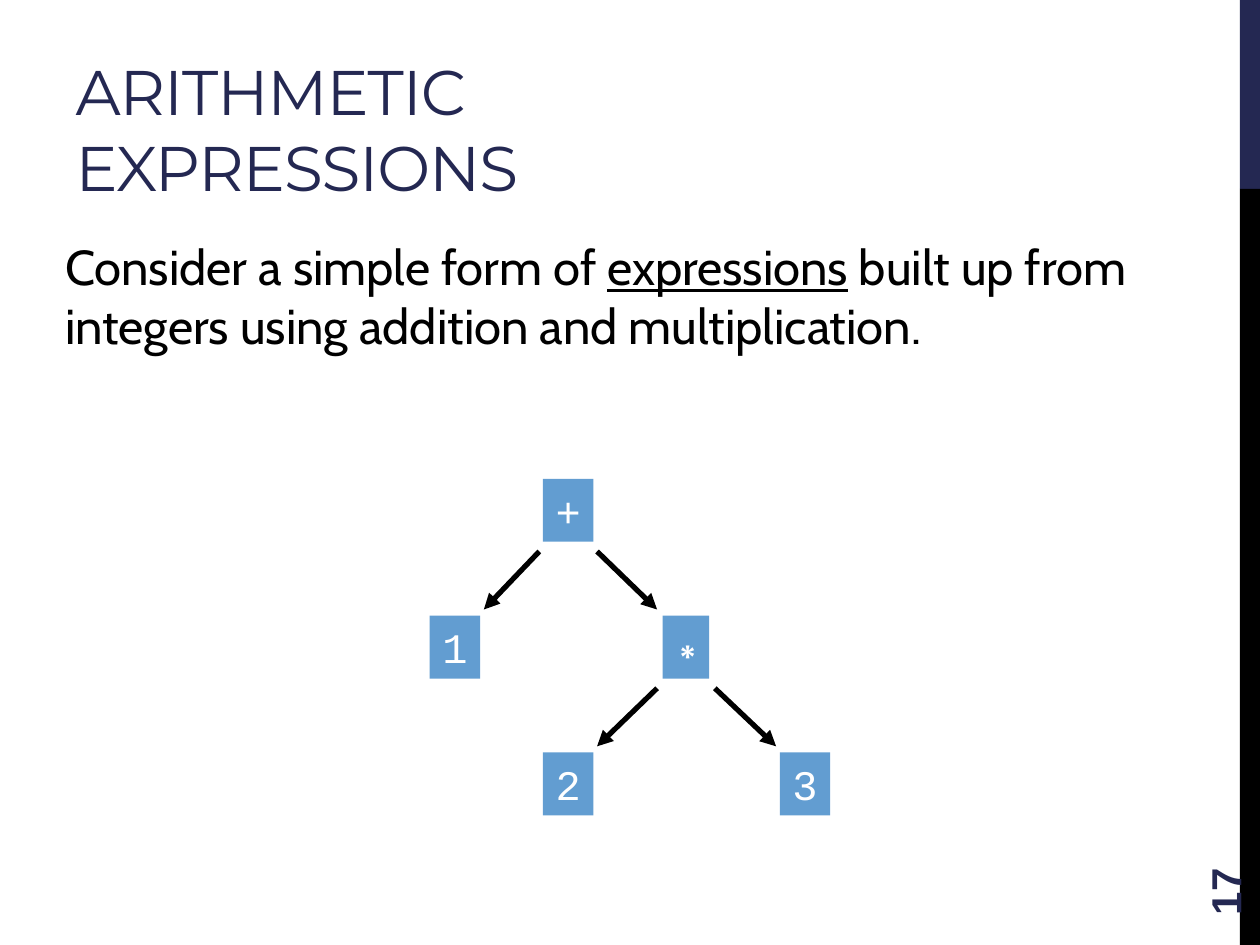
from dataclasses import dataclass

from lxml import etree
from pptx import Presentation
from pptx.dml.color import RGBColor
from pptx.enum.shapes import MSO_CONNECTOR, MSO_SHAPE
from pptx.enum.text import MSO_ANCHOR, MSO_AUTO_SIZE, PP_ALIGN
from pptx.oxml.ns import qn
from pptx.util import Pt

RECTANGLE = MSO_SHAPE.RECTANGLE
STRAIGHT = MSO_CONNECTOR.STRAIGHT
BOTTOM, MIDDLE = MSO_ANCHOR.BOTTOM, MSO_ANCHOR.MIDDLE
LEFT, CENTER = PP_ALIGN.LEFT, PP_ALIGN.CENTER
FIXED, GROW = MSO_AUTO_SIZE.NONE, MSO_AUTO_SIZE.SHAPE_TO_FIT_TEXT

COLORS = {"navy": "242852", "black": "000000", "white": "FFFFFF", "node": "629DD1"}

TITLE_FONT = {"name": "Montserrat", "size": Pt(36), "bold": False}
NUMBER_FONT = {"name": "Arial", "size": Pt(24), "bold": True}
BODY_FONT = {"name": "Cabin", "size": Pt(28)}
NODE_FONT = {"name": "Courier New", "size": Pt(24)}

TITLE_FRAME = {"word_wrap": True, "auto_size": FIXED, "vertical_anchor": BOTTOM}
NUMBER_FRAME = {"word_wrap": True, "auto_size": FIXED, "vertical_anchor": MIDDLE}
BODY_FRAME = {"word_wrap": True, "auto_size": GROW, "vertical_anchor": MIDDLE}
NODE_FRAME = {"word_wrap": False, "auto_size": GROW, "vertical_anchor": MIDDLE}

# Tree geometry in points
NODE_HEIGHT = 36
TREE_TOP = 273.6
LEVEL_STEP = 78.2
EDGE_SIDE = 16.5
EDGE_BELOW = 23.5
EDGE_ABOVE = 21.5


@dataclass
class Node:
    label: str
    center: float
    level: int
    width: float = 28.8

    @property
    def top(self) -> float:
        return TREE_TOP + self.level * LEVEL_STEP

    @property
    def middle(self) -> float:
        return self.top + NODE_HEIGHT / 2


def apply(target, values: dict) -> None:
    for name, value in values.items():
        setattr(target, name, value)


def place(shape, left: float, top: float, width: float, height: float) -> None:
    apply(shape, {"left": Pt(left), "top": Pt(top),
                  "width": Pt(width), "height": Pt(height)})


def write(box, spans: list, font: dict, color: str, frame: dict, align=LEFT) -> None:
    """Write (text, underline) spans as one paragraph."""
    apply(box.text_frame, frame)
    para = box.text_frame.paragraphs[0]
    para.alignment = align
    for text, underline in spans:
        span = para.add_run()
        span.text = text
        apply(span.font, font)
        span.font.color.rgb = RGBColor.from_string(COLORS[color])
        if underline:
            span.font.underline = True


def add_rectangle(page, left: float, top: float, width: float, height: float, color: str):
    box = page.shapes.add_shape(RECTANGLE, Pt(left), Pt(top), Pt(width), Pt(height))
    box.shadow.inherit = False
    box.fill.solid()
    box.fill.fore_color.rgb = RGBColor.from_string(COLORS[color])
    box.line.fill.background()
    return box


def add_text(page, left: float, top: float, width: float, height: float):
    return page.shapes.add_textbox(Pt(left), Pt(top), Pt(width), Pt(height))


def add_node(page, node: Node) -> None:
    box = add_rectangle(page, node.center - node.width / 2, node.top,
                        node.width, NODE_HEIGHT, "node")
    write(box, [(node.label, False)], NODE_FONT, "white", NODE_FRAME, CENTER)


def add_edge(page, parent: Node, child: Node) -> None:
    side = EDGE_SIDE if child.center > parent.center else -EDGE_SIDE
    edge = page.shapes.add_connector(
        STRAIGHT,
        Pt(parent.center + side), Pt(parent.middle + EDGE_BELOW),
        Pt(child.center - side), Pt(child.middle - EDGE_ABOVE))
    edge.line.width = Pt(3)
    edge.line.color.rgb = RGBColor.from_string(COLORS["black"])
    properties = edge.element.spPr
    etree.SubElement(properties.find(qn("a:ln")), qn("a:tailEnd"), type="triangle")
    etree.SubElement(properties, qn("a:effectLst"))


def main() -> None:
    deck = Presentation()
    apply(deck, {"slide_width": Pt(720), "slide_height": Pt(540)})
    page = deck.slides.add_slide(deck.slide_layouts[5])

    # Side bar
    add_rectangle(page, 708.5, 0, 11.5, 108, "navy")
    add_rectangle(page, 708.5, 108, 11.5, 432, "black")

    # Title
    title = page.shapes.title
    place(title, 36, 12.24, 456, 108)
    write(title, [("ARITHMETIC EXPRESSIONS", False)], TITLE_FONT, "navy", TITLE_FRAME)
    title.text_frame.paragraphs[0].runs[0].font._element.set("spc", "-60")

    # Page number, reading upwards
    number = add_text(page, 648, 463.7, 103.7, 28.8)
    number.rotation = 270
    write(number, [("17", False)], NUMBER_FONT, "navy", NUMBER_FRAME)

    # Introduction
    body = add_text(page, 30.2, 131.8, 655.2, 74.2)
    write(body, [("Consider a simple form of ", False), ("expressions", True),
                 (" built up from integers using addition and multiplication.", False)],
          BODY_FONT, "black", BODY_FRAME)

    # Expression tree
    plus = Node("+", 324.7, 0)
    one = Node("1", 260, 1)
    times = Node("∗", 392, 1, 26.6)
    two = Node("2", 324.7, 2)
    three = Node("3", 460, 2)
    for node in (plus, one, times, two, three):
        add_node(page, node)
    for parent, child in ((plus, one), (plus, times), (times, two), (times, three)):
        add_edge(page, parent, child)

    deck.save("out.pptx")


if __name__ == "__main__":
    main()
